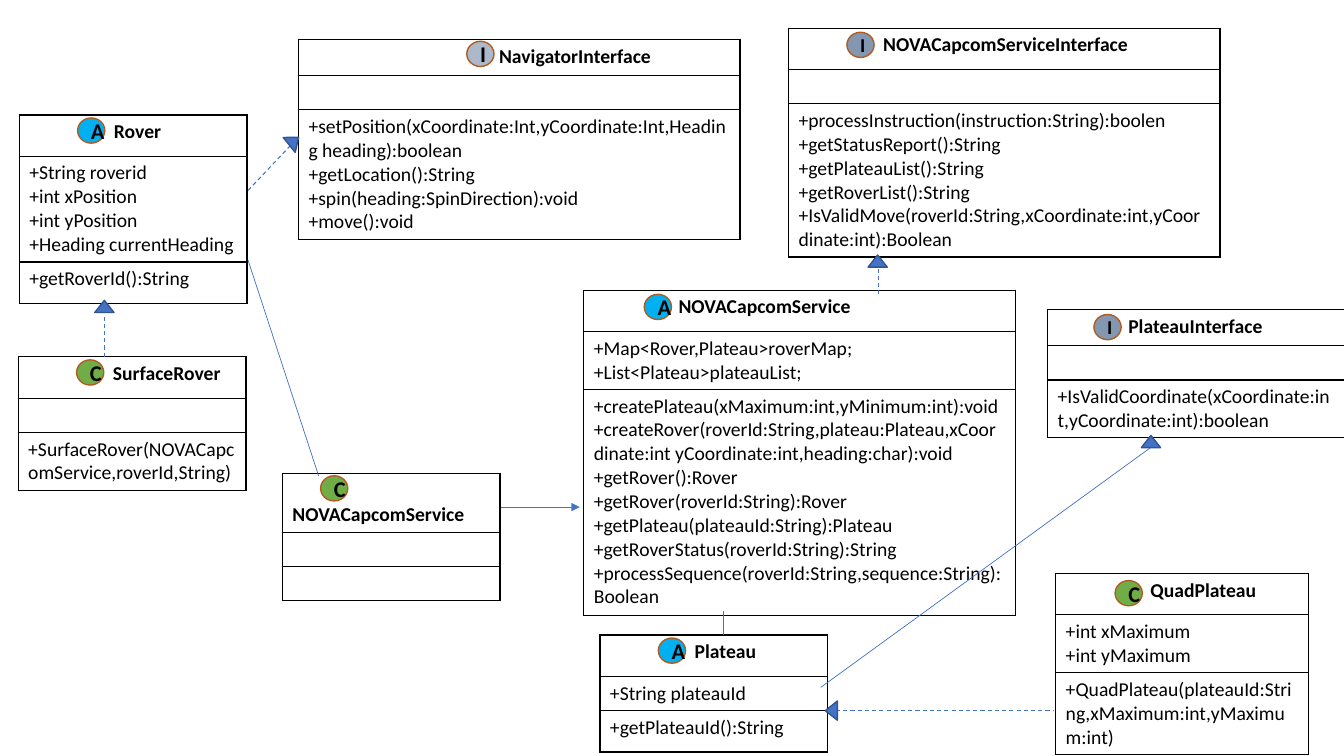
from lxml import etree
from pptx import Presentation
from pptx.dml.color import RGBColor
from pptx.enum.dml import MSO_LINE
from pptx.enum.shapes import MSO_CONNECTOR, MSO_SHAPE
from pptx.enum.text import MSO_ANCHOR, PP_ALIGN
from pptx.oxml.ns import qn
from pptx.util import Inches, Pt

COLORS = {
    "ink": "000000", "link": "4472C4", "head_edge": "325491", "badge_edge": "AF5C24",
    "abstract": "00B0F0", "concrete": "70AD47", "interface": "8497B0", "pale": "ADB9CA",
}
# One grid cell is a tenth of an inch, both across and down.
CELLS_PER_INCH = 10
# Row heights in cells
SHORT, TALL, ONE, TWO, THREE, FOUR, FIVE, SIX, NINE = (
    3.6, 4.1, 3.4, 5.7, 8.1, 10.5, 12.9, 15.2, 22.4)


def grid(cells):
    """Turn grid cells into a slide length."""
    return Inches(cells / CELLS_PER_INCH)


def rgb(name):
    """Look up a colour by name."""
    return RGBColor.from_string(COLORS[name])


class ClassDiagram:
    """Style and current slide of a UML class diagram."""

    font, text_size = "Calibri", 14

    def __init__(self, slide):
        """Keep the slide to draw on."""
        self.shapes = slide.shapes

    def styled_run(self, paragraph, text, size=text_size, bold=False):
        """Put one styled run in a paragraph."""
        run = paragraph.add_run()
        run.text = text
        run.font.name, run.font.size, run.font.bold = self.font, Pt(size), bold
        run.font.color.rgb = rgb("ink")

    def outline(self, cell):
        """Clear the cell's fill and rule its four sides."""
        cell.fill.background()
        for index, side in enumerate(("a:lnL", "a:lnR", "a:lnT", "a:lnB")):
            line = etree.Element(qn(side), w=str(Pt(1)))
            fill = etree.SubElement(line, qn("a:solidFill"))
            etree.SubElement(fill, qn("a:srgbClr"), val=COLORS["ink"])
            cell._tc.get_or_add_tcPr().insert(index, line)

    def fill_cell(self, cell, lines, bold=False):
        """Set one paragraph per line, or keep an empty cell at text height."""
        frame = cell.text_frame
        for index, line in enumerate(lines):
            paragraph = frame.add_paragraph() if index else frame.paragraphs[0]
            self.styled_run(paragraph, line, bold=bold)
        if not lines:
            etree.SubElement(frame.paragraphs[0]._p, qn("a:endParaRPr"),
                             sz=str(self.text_size * 100))
        self.outline(cell)

    def class_box(self, at, width, heights, title, fields, methods, badge,
                  title_left=9.4, badge_at=(5.8, 0.3)):
        """Draw a class as a three-row table with its kind badge."""
        left, top = at
        frame = self.shapes.add_table(3, 1, grid(left), grid(top), grid(width),
                                      grid(sum(heights)))
        table = frame.table
        table.first_row = table.horz_banding = False
        for row, height in zip(table.rows, heights):
            row.height = grid(height)
        header = table.cell(0, 0)
        header.margin_left = grid(title_left)
        header.margin_right = 0
        if heights[0] > TALL:
            header.vertical_anchor = MSO_ANCHOR.BOTTOM
        self.fill_cell(header, [title], bold=True)
        self.fill_cell(table.cell(1, 0), fields)
        self.fill_cell(table.cell(2, 0), methods)
        self.badge(left + badge_at[0], top + badge_at[1], *badge)

    def solid(self, kind, box, fill, edge):
        """Draw a filled preset shape."""
        shape = self.shapes.add_shape(kind, *map(grid, box))
        shape.shadow.inherit = False
        shape.fill.solid()
        shape.fill.fore_color.rgb = rgb(fill)
        shape.line.color.rgb = rgb(edge)
        shape.line.width = Pt(1)
        return shape

    def badge(self, left, top, letter, fill, size=16):
        """Draw the round letter badge of a class."""
        shape = self.solid(MSO_SHAPE.FLOWCHART_CONNECTOR, (left, top, 2.7, 2.5),
                           fill, "badge_edge")
        paragraph = shape.text_frame.paragraphs[0]
        paragraph.alignment = PP_ALIGN.CENTER
        self.styled_run(paragraph, letter, size, bold=True)

    def head(self, left, top, rotation=0):
        """Draw a triangular inheritance head."""
        shape = self.solid(MSO_SHAPE.ISOSCELES_TRIANGLE, (left, top, 1.9, 1.2),
                           "link", "head_edge")
        shape.rotation = rotation

    def link(self, start, end, dashed=False, arrow=False):
        """Join two points with a thin line."""
        line = self.shapes.add_connector(MSO_CONNECTOR.STRAIGHT,
                                         *map(grid, (*start, *end)))
        line.line.color.rgb = rgb("link")
        line.line.width = Pt(0.75 if dashed else 0.5)
        if dashed:
            line.line.dash_style = MSO_LINE.DASH
        if arrow:
            etree.SubElement(line.line._get_or_add_ln(), qn("a:tailEnd"), type="triangle")
        etree.SubElement(line._element.spPr, qn("a:effectLst"))


ABSTRACT = ("A", "abstract")
CONCRETE = ("C", "concrete")
INTERFACE = ("I", "interface", 14)

prs = Presentation()
prs.slide_width, prs.slide_height = Inches(13.33), Inches(7.5)
diagram = ClassDiagram(prs.slides.add_slide(prs.slide_layouts[6]))

diagram.class_box(
    (29.6, 3.9), 43.8, (SHORT, ONE, FIVE), "NavigatorInterface", [],
    ["+setPosition(xCoordinate:Int,yCoordinate:Int,Heading heading):boolean",
     "+getLocation():String", "+spin(heading:SpinDirection):void", "+move():void"],
    ("I", "pale"), title_left=19.9, badge_at=(16.7, 0.2))
diagram.class_box(
    (1.9, 11.4), 22.6, (TALL, FOUR, TALL), "Rover",
    ["+String roverid", "+int xPosition", "+int yPosition", "+Heading currentHeading"],
    ["+getRoverId():String"], ABSTRACT)
diagram.class_box(
    (1.8, 35.4), 22.6, (TALL, ONE, TWO), "SurfaceRover", [],
    ["+SurfaceRover(NOVACapcomService,roverId,String)"], CONCRETE)
diagram.class_box(
    (28, 47), 21.6, (5.8, ONE, ONE), "NOVACapcomService", [], [], CONCRETE,
    title_left=1, badge_at=(3.8, 0.2))
diagram.class_box(
    (57.9, 28.8), 42.8, (TALL, TWO, NINE), "NOVACapcomService",
    ["+Map<Rover,Plateau>roverMap;", "+List<Plateau>plateauList;"],
    ["+createPlateau(xMaximum:int,yMinimum:int):void",
     "+createRover(roverId:String,plateau:Plateau,xCoordinate:int "
     "yCoordinate:int,heading:char):void",
     "+getRover():Rover", "+getRover(roverId:String):Rover",
     "+getPlateau(plateauId:String):Plateau", "+getRoverStatus(roverId:String):String",
     "+processSequence(roverId:String,sequence:String):Boolean"],
    ABSTRACT, badge_at=(6, 0.4))
diagram.class_box(
    (78.2, 2.8), 42.8, (TALL, ONE, SIX), "NOVACapcomServiceInterface", [],
    ["+processInstruction(instruction:String):boolen", "+getStatusReport():String",
     "+getPlateauList():String", "+getRoverList():String",
     "+IsValidMove(roverId:String,xCoordinate:int,yCoordinate:int):Boolean"],
    INTERFACE, badge_at=(5.8, 0.4))
diagram.class_box(
    (59.5, 63), 22.6, (TALL, ONE, TALL), "Plateau", ["+String plateauId"],
    ["+getPlateauId():String"], ABSTRACT)
diagram.class_box(
    (104.7, 56.9), 25.1, (TALL, TWO, THREE), "QuadPlateau",
    ["+int xMaximum", "+int yMaximum"],
    ["+QuadPlateau(plateauId:String,xMaximum:int,yMaximum:int)"],
    CONCRETE, badge_at=(5.9, 0.7))
diagram.class_box(
    (103.9, 30.7), 29.5, (SHORT, ONE, TWO), "PlateauInterface", [],
    ["+IsValidCoordinate(xCoordinate:int,yCoordinate:int):boolean"],
    INTERFACE, title_left=8, badge_at=(4.6, 0.5))

for start, end in (((10.4, 35.4), (10.4, 29.9)), ((24.6, 18.9), (29.6, 13.6)),
                   ((87.1, 29.2), (87.1, 25.9)), ((82.2, 70.5), (104.5, 70.5))):
    diagram.link(start, end, dashed=True)
for start, end in (((24.6, 25.8), (31.6, 47.2)), ((71.7, 63), (71.7, 60.6)),
                   ((81.4, 68.2), (114.4, 44.2))):
    diagram.link(start, end)
diagram.link((49.7, 50.3), (57.5, 50.3), arrow=True)

for head in ((9.4, 29.8), (28.2, 13.4, 51.1), (86.1, 25.3), (81.5, 69.9, 270),
             (113.2, 43.2)):
    diagram.head(*head)

prs.save("out.pptx")
